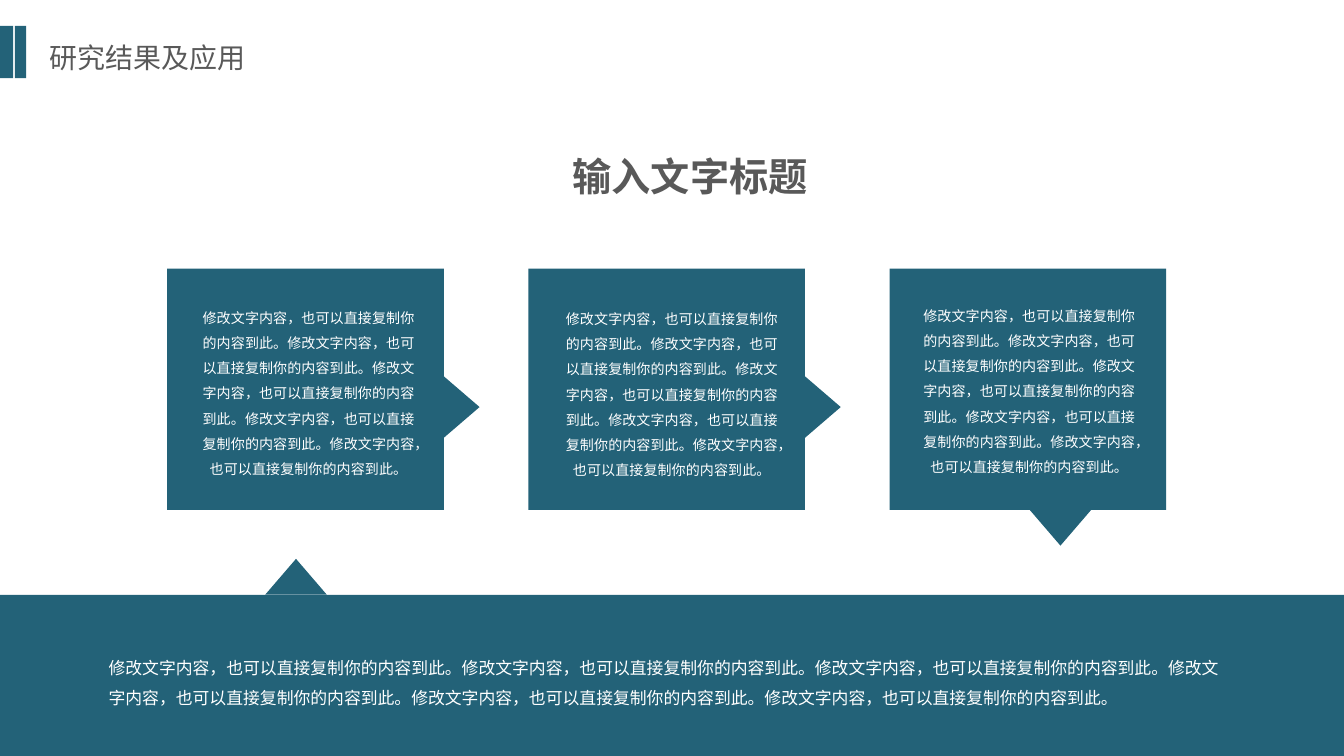
from lxml import etree
from pptx import Presentation
from pptx.dml.color import RGBColor
from pptx.enum import shapes, text
from pptx.oxml import ns
from pptx.util import Pt

TEAL = RGBColor(0x23, 0x62, 0x78)
GREY = RGBColor(0x59, 0x59, 0x59)
WHITE = RGBColor(0xFF, 0xFF, 0xFF)
HEADING_FONT = "Noto Sans CJK SC"
RECT = shapes.MSO_SHAPE.RECTANGLE
TRIANGLE = shapes.MSO_SHAPE.ISOSCELES_TRIANGLE
SENTENCE = "修改文字内容，也可以直接复制你的内容到此。"

prs = Presentation()
prs.slide_width, prs.slide_height = Pt(720), Pt(405)
slide = prs.slides.add_slide(prs.slide_layouts[6])


def add_block(kind, left, top, width, height, rotation=0):
    block = slide.shapes.add_shape(kind, Pt(left), Pt(top), Pt(width), Pt(height))
    block.shadow.inherit = False
    block.fill.solid()
    block.fill.fore_color.rgb = TEAL
    block.line.fill.background()
    block.rotation = rotation


def add_text(words, left, top, width, height, size, color=WHITE, font="Arial",
             bold=False, align=text.PP_ALIGN.LEFT, spacing=None):
    frame = slide.shapes.add_textbox(Pt(left), Pt(top), Pt(width), Pt(height)).text_frame
    frame.word_wrap = True
    paragraph = frame.paragraphs[0]
    paragraph.alignment = align
    paragraph.line_spacing = spacing
    run = paragraph.add_run()
    run.text = words
    run.font.size = Pt(size)
    run.font.bold = bold
    run.font.color.rgb = color
    run.font.name = font
    # Chinese characters take the East Asian typeface
    etree.SubElement(run.font._element, ns.qn("a:ea"), typeface=font)


# Three cards in a row
CARD_LEFT, CARD_STEP, CARD_TOP = 89.6, 193.5, 143.9
for index in range(3):
    add_block(RECT, CARD_LEFT + index * CARD_STEP, CARD_TOP, 148.2, 129.3)

# Pointers: card to card, last card down, bottom band up
for index in range(2):
    add_block(TRIANGLE, 230.8 + index * CARD_STEP, 208.5, 33, 19.2, rotation=90)
add_block(TRIANGLE, 551.6, 273.1, 33, 19.2, rotation=180)
add_block(RECT, 0, 318.7, 720, 86.3)
add_block(TRIANGLE, 142.1, 299.4, 33, 19.2)

# Page heading with its marker bars
add_block(RECT, 0, 13.9, 7, 28)
add_block(RECT, 8, 13.9, 6, 28)
add_text("研究结果及应用", 19.2, 18, 178, 25, size=15, color=GREY, font=HEADING_FONT)

# Section title
add_text("输入文字标题", 257, 77.8, 225.4, 32.4, size=21, color=GREY,
         font=HEADING_FONT, bold=True, align=text.PP_ALIGN.CENTER)

# Card texts
for left, top in [(101, 157.6), (295.6, 158.2), (487.1, 156.5)]:
    add_text(SENTENCE * 5, left, top, 128.5, 103, size=7.5,
             align=text.PP_ALIGN.CENTER, spacing=1.5)

# Bottom band text
add_text(SENTENCE * 6, 51.1, 343.5, 612, 40.3, size=9, spacing=1.5)

prs.save("out.pptx")
